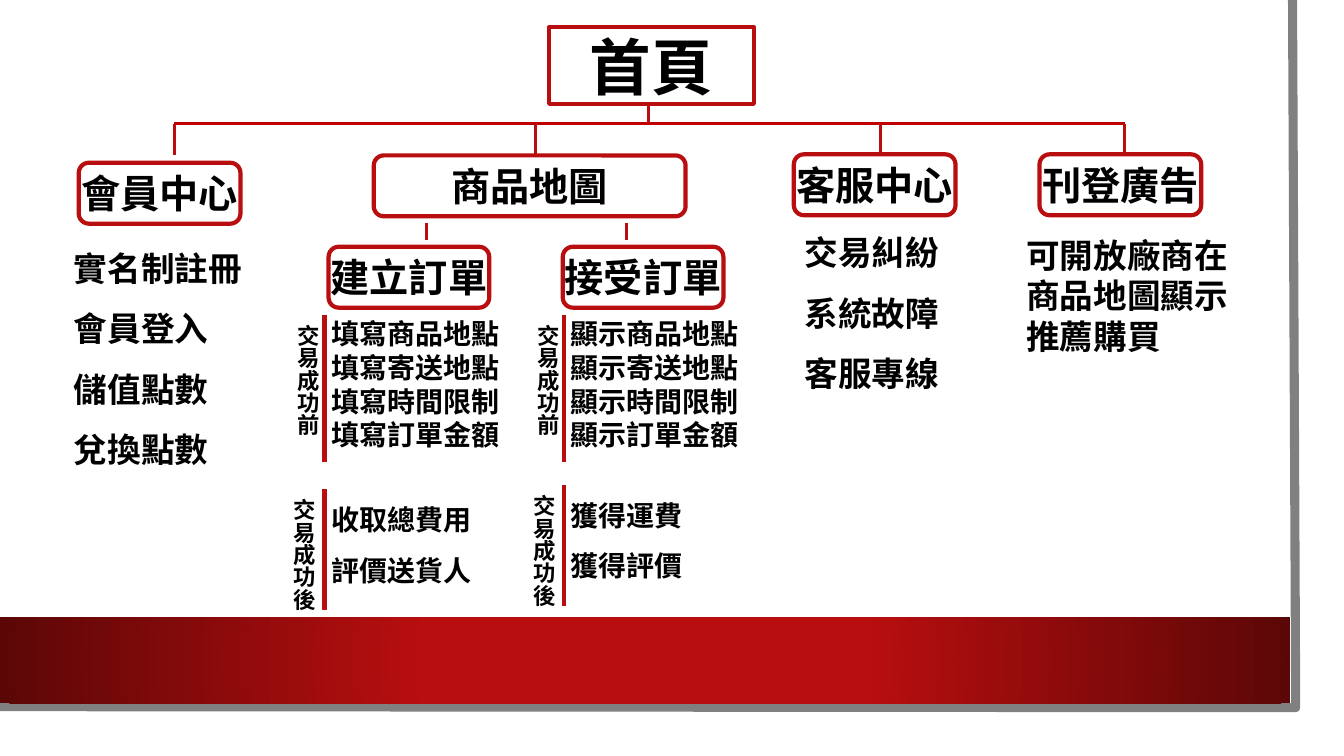
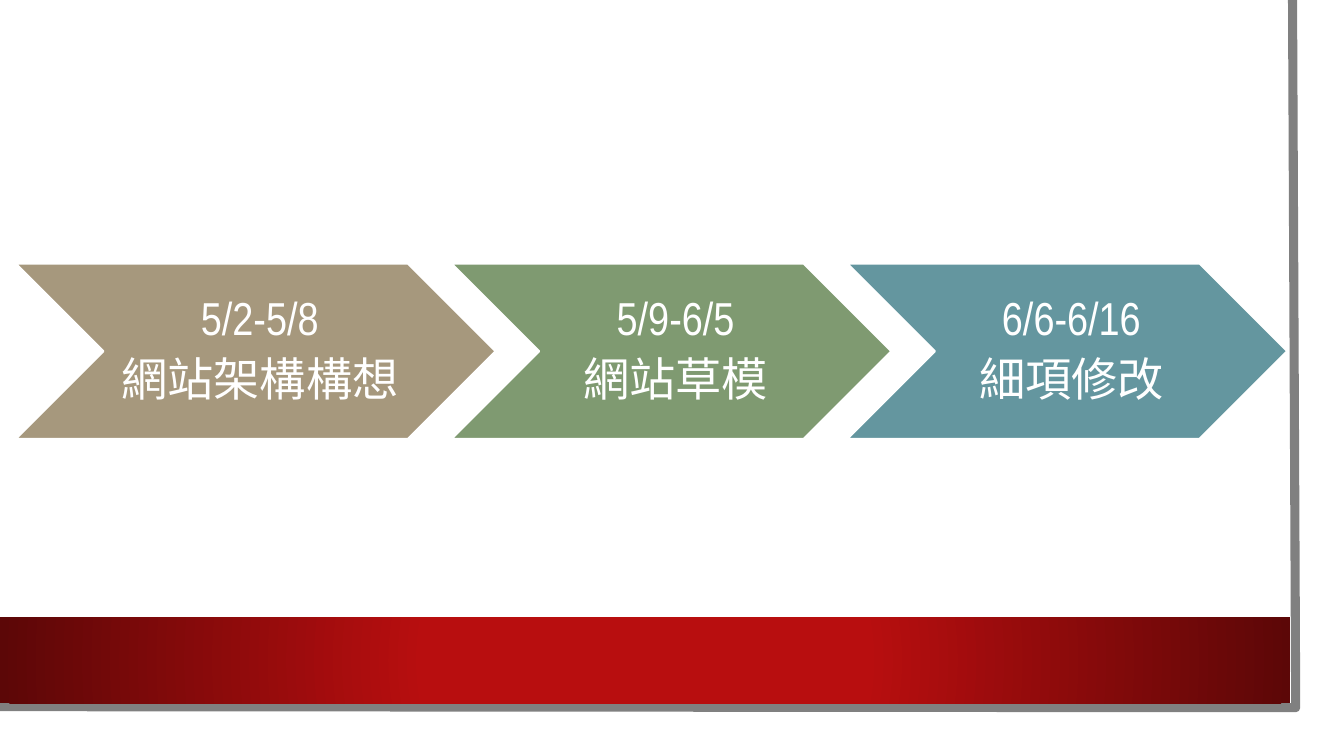
from lxml.etree import SubElement
from pptx import Presentation
from pptx.dml.color import RGBColor
from pptx.enum.shapes import MSO_CONNECTOR, MSO_SHAPE
from pptx.enum.text import MSO_ANCHOR, MSO_AUTO_SIZE, PP_ALIGN
from pptx.oxml.ns import qn
from pptx.util import Pt

PX = 9525  # EMU per px, slide is 1280 x 720
CJK, LATIN = "Noto Sans CJK JP", "Arial Narrow"
COLORS = {
    "red": "B80E0F", "dark": "5C0707", "bus": "C00000", "frame": "808080",
    "black": "000000", "white": "FFFFFF",
    "sand": "A6987D", "green": "7F9A71", "teal": "64969F",
}


def rgb(name):
    return RGBColor.from_string(COLORS[name])


def emu(*lengths):
    return [n * PX for n in lengths]


# Shared helpers
def set_line(s, color, width):
    s.line.color.rgb = rgb(color)
    s.line.width = Pt(width)


def write(tf, lines, size, color="black", bold=True, font=CJK,
          align=PP_ALIGN.LEFT, spacing=1.0, after=0):
    for i, text in enumerate(lines):
        p = tf.add_paragraph() if i else tf.paragraphs[0]
        p.text = text
        p.alignment, p.line_spacing = align, spacing
        p.space_before, p.space_after = Pt(0), Pt(after)
        p.font.size, p.font.bold = Pt(size), bold
        p.font.color.rgb = rgb(color)
        p.font.name = font
        SubElement(p._p.pPr.find(qn("a:defRPr")), qn("a:ea")).set("typeface", CJK)


def add_text(slide, box, lines, size, spacing=1.0):
    tf = slide.shapes.add_textbox(*emu(*box)).text_frame
    tf.word_wrap = True
    write(tf, lines, size, spacing=spacing)
    return tf


def add_rule(slide, x1, y1, x2, y2, color="red", width=2.25):
    s = slide.shapes.add_connector(MSO_CONNECTOR.STRAIGHT, *emu(x1, y1, x2, y2))
    set_line(s, color, width)
    SubElement(s._element.spPr, qn("a:effectLst"))


def style_node(s, text, size):
    s.fill.background()
    set_line(s, "red", 3)
    tf = s.text_frame
    tf.margin_left = tf.margin_right = tf.margin_top = tf.margin_bottom = 0
    tf.word_wrap, tf.auto_size = False, MSO_AUTO_SIZE.NONE
    tf.vertical_anchor = MSO_ANCHOR.MIDDLE
    write(tf, [text], size, align=PP_ALIGN.CENTER)


def add_node(slide, x, y, w, text):
    s = slide.shapes.add_shape(MSO_SHAPE.ROUNDED_RECTANGLE, *emu(x, y, w, 58))
    s.shadow.inherit = False
    style_node(s, text, 28)


# Master: grey page edge and red band
def add_master_frame(prs, slide):
    builder = slide.shapes.build_freeform(*emu(1231, 0), scale=1.0)
    builder.add_line_segments([emu(1234, 674), emu(-3, 673)], close=False)
    edge = builder.convert_to_shape()
    edge.fill.background()
    set_line(edge, "frame", 6.5)

    band = slide.shapes.add_shape(MSO_SHAPE.RECTANGLE, *emu(0, 588, 1229, 82))
    band.line.fill.background()
    band.fill.gradient()
    for stop, color, position in zip(band.fill.gradient_stops, ("red", "dark"), (0.34, 1)):
        stop.color.rgb, stop.position = rgb(color), position
    grad = band._element.spPr.find(qn("a:gradFill"))
    grad.remove(grad.find(qn("a:lin")))
    radial = SubElement(grad, qn("a:path"))
    radial.set("path", "circle")
    center = SubElement(radial, qn("a:fillToRect"))
    for side in "ltrb":
        center.set(side, "50000")

    tree = prs.slide_master.shapes._spTree
    for i, s in enumerate((edge, band)):
        s.shadow.inherit = False
        tree.insert(2 + i, s._element)


# Slide 1: site map
def add_home(slide, box):
    s = slide.shapes.title
    s.left, s.top, s.width, s.height = emu(*box)
    geom = SubElement(s._element.spPr, qn("a:prstGeom"))
    geom.set("prst", "roundRect")
    SubElement(geom, qn("a:avLst"))
    style_node(s, "首頁", 44)


def add_branches(slide, y, trunk_x, drops):
    add_rule(slide, trunk_x, y - 18, trunk_x, y)
    add_rule(slide, drops[0], y, drops[-1], y, "bus")
    for x in drops:
        add_rule(slide, x, y, x, y + 30)


def add_stage(slide, x, y, h, label, label_gap, items, rise, spacing):
    add_text(slide, (x - 3, y - rise, 190, h), items, 20, spacing)
    add_rule(slide, x, y, x, y + h, width=3)
    tf = add_text(slide, (x - label_gap, y, 45, 166), [label], 16)
    tf._txBody.bodyPr.set("vert", "eaVert")


def add_order(slide, x, node_x, stub_x, after_y, name, before, after):
    add_rule(slide, stub_x, 212, stub_x, 229)
    add_node(slide, node_x, 235, 153, name)
    add_stage(slide, x, 300, 140, "交易成功前", 43, before, 3, 1.0)
    add_stage(slide, x, after_y, 115, "交易成功後", 47, after, 8, 1.5)


def build_site_map(slide):
    add_home(slide, (523, 26, 195, 73))
    add_branches(slide, 118, 618, (166, 510, 839, 1071))
    for x, y, w, text in ((75, 155, 154, "會員中心"), (356, 148, 297, "商品地圖"),
                          (756, 147, 154, "客服中心"), (990, 147, 154, "刊登廣告")):
        add_node(slide, x, y, w, text)
    details = (
        ((61, 212, 190, 242), 1.5, ["實名制註冊", "會員登入", "儲值點數", "兌換點數"]),
        ((757, 197, 160, 184), 1.5, ["交易糾紛", "系統故障", "客服專線"]),
        ((968, 219, 220, 165), 1.0, ["可開放廠商在", "商品地圖顯示", "推薦購買"]),
    )
    for box, spacing, lines in details:
        add_text(slide, box, lines, 24, spacing)
    fields = ("商品地點", "寄送地點", "時間限制", "訂單金額")
    add_order(slide, 309, 313, 406, 466, "建立訂單",
              ["填寫" + f for f in fields], ["收取總費用", "評價送貨人"])
    add_order(slide, 537, 536, 597, 462, "接受訂單",
              ["顯示" + f for f in fields], ["獲得運費", "獲得評價"])


# Slide 2: schedule
def build_schedule(slide, x, y, h, overlap):
    steps = ((457, "sand", "5/2-5/8", "網站架構構想"),
             (419, "green", "5/9-6/5", "網站草模"),
             (419, "teal", "6/6-6/16", "細項修改"))
    for w, color, dates, task in steps:
        s = slide.shapes.add_shape(MSO_SHAPE.CHEVRON, *emu(x, y, w, h))
        s.shadow.inherit = False
        s.fill.solid()
        s.fill.fore_color.rgb = rgb(color)
        set_line(s, "white", 1.5)
        tf = s.text_frame
        tf.margin_left, tf.margin_top, tf.margin_right, tf.margin_bottom = emu(13, 5, 5, 5)
        tf.word_wrap, tf.vertical_anchor = True, MSO_ANCHOR.MIDDLE
        write(tf, [dates, task], 33, "white", False, LATIN, PP_ALIGN.CENTER, 0.9, 8)
        x += w - overlap


def main():
    prs = Presentation()
    prs.slide_width, prs.slide_height = emu(1280, 720)
    site_map = prs.slides.add_slide(prs.slide_layouts[5])
    schedule = prs.slides.add_slide(prs.slide_layouts[6])
    add_master_frame(prs, site_map)
    build_site_map(site_map)
    build_schedule(schedule, 15, 251, 167, 42)
    prs.save("out.pptx")


if __name__ == "__main__":
    main()
